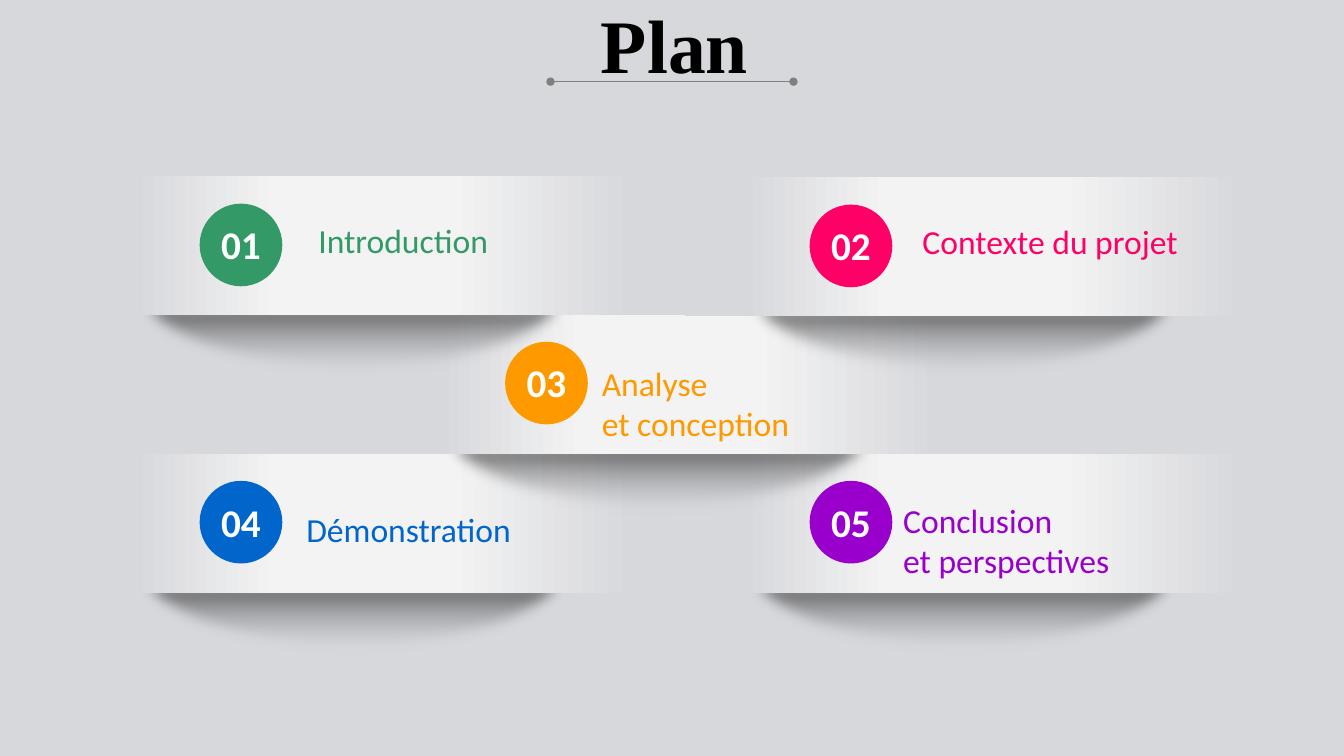
from dataclasses import dataclass

from lxml.etree import SubElement
from pptx import Presentation
from pptx.dml.color import RGBColor
from pptx.enum.shapes import MSO_CONNECTOR, MSO_SHAPE
from pptx.enum.text import MSO_AUTO_SIZE, PP_ALIGN
from pptx.oxml.ns import qn
from pptx.util import Inches, Pt


@dataclass(frozen=True)
class Theme:
    """Colours, fonts and type sizes of the slide."""
    background: str = "D7D8DC"
    band: str = "F3F3F3"
    black: str = "000000"
    white: str = "FFFFFF"
    rule: str = "808080"
    body_font: str = "Calibri"
    title_font: str = "Times New Roman"
    title_size: int = 54
    number_size: int = 28
    label_size: int = 24


THEME = Theme()
BAND_W, BAND_H = 5.79, 1.38
LEFT, MIDDLE, RIGHT = 0.74, 3.77, 6.79
ROW_1, ROW_2, ROW_3 = 1.75, 3.12, 4.5
SOFT_EDGE = 0.14
BAND_STOPS = [(10, THEME.background, 100), (35, THEME.band, 100),
              (64, THEME.band, 100), (96, THEME.background, 100)]
SHADOW_STOPS = [(13, THEME.black, 60), (100, THEME.background, 0)]
SECTIONS = [
    ("04", ["Démonstration"], "0066CC", LEFT, ROW_3, (2.2, 0.5, 2.33, 0.5)),
    ("05", ["Conclusion", "et perspectives"], "9900CC", RIGHT, ROW_3,
     (2.07, 0.41, 4.16, 0.91)),
    ("03", ["Analyse", "et conception"], "FF9900", MIDDLE, ROW_2,
     (2.1, 0.43, 4.51, 0.91)),
    ("01", ["Introduction"], "339966", LEFT, ROW_1, (2.32, 0.38, 2.4, 0.5)),
    ("02", ["Contexte du projet"], "FF0066", RIGHT, ROW_1 + 0.01,
     (2.26, 0.38, 2.75, 0.5)),
]


def fill_gradient(sp, stops, angle):
    """Fill a shape with (position, colour, opacity) stops and no outline."""
    sp.shadow.inherit = False
    sp.line.fill.background()
    sp.fill.gradient()
    grad = sp._element.spPr.find(qn("a:gradFill"))
    grad.clear()
    stop_list = SubElement(grad, qn("a:gsLst"))
    for position, colour, opacity in stops:
        stop = SubElement(stop_list, qn("a:gs"), pos=str(position * 1000))
        rgb = SubElement(stop, qn("a:srgbClr"), val=colour)
        if opacity < 100:
            SubElement(rgb, qn("a:alpha"), val=str(opacity * 1000))
    SubElement(grad, qn("a:lin"), ang=str(angle * 60000), scaled="0")


def add_text(shapes, box, lines, font, size, colour, bold=False, align=PP_ALIGN.LEFT):
    """Add a text box with one paragraph for each line."""
    tf = shapes.add_textbox(*map(Inches, box)).text_frame
    tf.word_wrap = True
    tf.auto_size = MSO_AUTO_SIZE.SHAPE_TO_FIT_TEXT
    for i, line in enumerate(lines):
        p = tf.paragraphs[0] if i == 0 else tf.add_paragraph()
        p.alignment = align
        r = p.add_run()
        r.text = line
        r.font.name = font
        r.font.size = Pt(size)
        r.font.bold = bold
        r.font.color.rgb = RGBColor.from_string(colour)


def add_shadow(shapes, x, y, w, h):
    """Add a soft lower half-ellipse, rounded by two curves."""
    builder = shapes.build_freeform(Inches(x), Inches(y))
    builder.add_line_segments([(Inches(x + w), Inches(y)),
                               (Inches(x + w / 2), Inches(y + h))], close=True)
    sp = builder.convert_to_shape()
    fill_gradient(sp, SHADOW_STOPS, 90)
    effects = sp._element.spPr.find(qn("a:effectLst"))
    SubElement(effects, qn("a:softEdge"), rad=str(Inches(SOFT_EDGE)))

    corner = next(sp._element.iter(qn("a:close"))).getprevious()
    curves = [[(1, 0.55), (0.78, 1), (0.5, 1)], [(0.22, 1), (0, 0.55), (0, 0)]]
    for curve in reversed(curves):
        bezier = corner.makeelement(qn("a:cubicBezTo"))
        for px, py in curve:
            SubElement(bezier, qn("a:pt"), x=str(Inches(px * w)), y=str(Inches(py * h)))
        corner.addnext(bezier)
    corner.getparent().remove(corner)


def add_section(slide, number, lines, colour, x, y, label):
    """Add a numbered band with its shadow, disc and label."""
    shapes = slide.shapes.add_group_shape().shapes
    add_shadow(shapes, x + 0.5, y + 1.19, 4.51, 0.86)
    band = shapes.add_shape(MSO_SHAPE.RECTANGLE, *map(Inches, (x, y, BAND_W, BAND_H)))
    fill_gradient(band, BAND_STOPS, 0)
    disc_x, disc_y, disc_d = x + 1.24, y + 0.27, 0.82
    disc = shapes.add_shape(MSO_SHAPE.OVAL,
                            *map(Inches, (disc_x, disc_y, disc_d, disc_d)))
    disc.shadow.inherit = False
    disc.fill.solid()
    disc.fill.fore_color.rgb = RGBColor.from_string(colour)
    disc.line.fill.background()
    add_text(shapes, (disc_x, disc_y + 0.12, disc_d, 0.57), [number], THEME.body_font,
             THEME.number_size, THEME.white, True, PP_ALIGN.CENTER)
    dx, dy, w, h = label
    add_text(shapes, (x + dx, y + dy, w, h), lines, THEME.body_font,
             THEME.label_size, colour)


def add_title(slide, x, y, w, h):
    """Add the centred title and the dotted-end rule under it."""
    add_text(slide.shapes, (x, y, w, h), ["Plan"], THEME.title_font,
             THEME.title_size, THEME.black, True, PP_ALIGN.CENTER)
    rule_x, rule_y, rule_w = x + 2.84, y + 0.88, 2.41
    rule = slide.shapes.add_connector(
        MSO_CONNECTOR.STRAIGHT,
        *map(Inches, (rule_x, rule_y, rule_x + rule_w, rule_y)))
    rule.line.color.rgb = RGBColor.from_string(THEME.rule)
    rule.line.width = Pt(0.5)
    ln = rule._element.spPr.find(qn("a:ln"))
    for end in ("a:headEnd", "a:tailEnd"):
        SubElement(ln, qn(end), type="oval")
    SubElement(rule._element.spPr, qn("a:effectLst"))


def main():
    """Build the plan slide and save it."""
    prs = Presentation()
    prs.slide_width, prs.slide_height = Inches(13.33), Inches(7.5)
    slide = prs.slides.add_slide(prs.slide_layouts[6])
    slide.background.fill.solid()
    slide.background.fill.fore_color.rgb = RGBColor.from_string(THEME.background)
    for section in SECTIONS:
        add_section(slide, *section)
    add_title(slide, 2.62, -0.07, 8.14, 1.01)
    prs.save("out.pptx")


if __name__ == "__main__":
    main()
